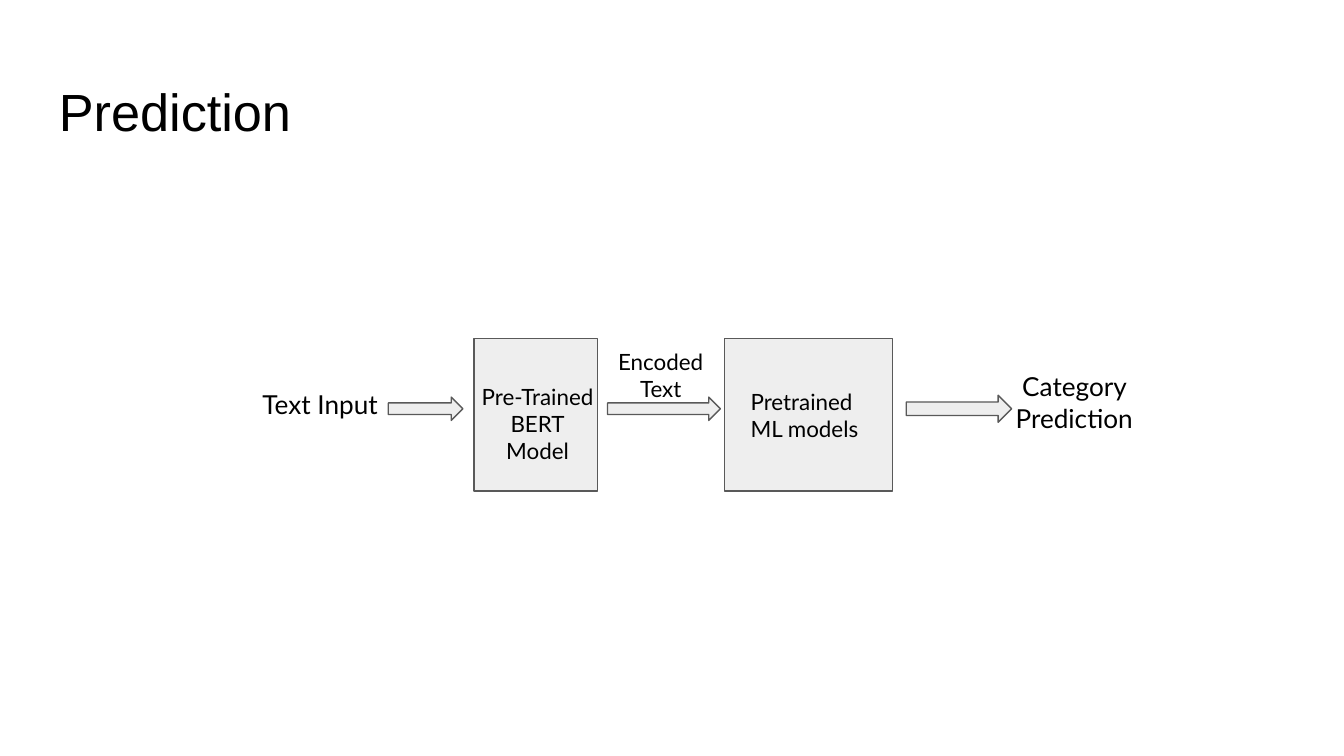
from pptx import Presentation
from pptx.dml.color import RGBColor
from pptx.enum.shapes import MSO_SHAPE
from pptx.enum.text import MSO_ANCHOR, PP_ALIGN
from pptx.util import Pt

RECTANGLE, ARROW = MSO_SHAPE.RECTANGLE, MSO_SHAPE.RIGHT_ARROW
LEFT, CENTER = PP_ALIGN.LEFT, PP_ALIGN.CENTER

SLIDE_SIZE = (720, 405)
INSET = 7.2
FILL, LINE, TEXT = "EEEEEE", "595959", "000000"

BOX_TOP, BOX_HEIGHT = 181.5, 81.5
FLOW_MIDLINE = 219

# left, width
MODEL_BOXES = [(254, 66), (388, 90)]
# left, width, height
ARROWS = [(208, 40, 12.5), (325.5, 60.5, 12.5), (485.5, 56.5, 14.5)]
# text, left, top, width, height, size, font, alignment
LABELS = [
    ("Prediction", 24.5, 35, 671, 45, 28, "Arial", LEFT),
    ("Text Input", 126.5, 201, 90, 42.5, 14, "Lato", CENTER),
    ("Pre-Trained BERT\vModel", 248.5, 198, 79, 62.5, 12, "Lato", CENTER),
    ("Encoded Text", 321, 179.5, 66, 55.5, 12, "Lato", CENTER),
    ("Pretrained ML models", 395, 201, 73.5, 47, 12, "Lato", LEFT),
    ("Category Prediction", 530.5, 191.5, 90, 14.5, 14, "Lato", CENTER),
]


def color(hex_string):
    return RGBColor.from_string(hex_string)


def add_outlined(slide, kind, left, top, width, height):
    shape = slide.shapes.add_shape(kind, Pt(left), Pt(top), Pt(width), Pt(height))
    shape.shadow.inherit = False
    shape.fill.solid()
    shape.fill.fore_color.rgb = color(FILL)
    shape.line.color.rgb = color(LINE)
    shape.line.width = Pt(0.75)


def add_label(slide, text, left, top, width, height, size, font, alignment):
    frame = slide.shapes.add_textbox(Pt(left), Pt(top), Pt(width), Pt(height)).text_frame
    frame.word_wrap = True
    frame.vertical_anchor = MSO_ANCHOR.TOP
    frame.margin_left = frame.margin_right = Pt(INSET)
    frame.margin_top = frame.margin_bottom = Pt(INSET)
    paragraph = frame.paragraphs[0]
    paragraph.text = text
    paragraph.alignment = alignment
    paragraph.font.size = Pt(size)
    paragraph.font.name = font
    paragraph.font.color.rgb = color(TEXT)


presentation = Presentation()
presentation.slide_width, presentation.slide_height = map(Pt, SLIDE_SIZE)
slide = presentation.slides.add_slide(presentation.slide_layouts[6])

for left, width in MODEL_BOXES:
    add_outlined(slide, RECTANGLE, left, BOX_TOP, width, BOX_HEIGHT)
for left, width, height in ARROWS:
    add_outlined(slide, ARROW, left, FLOW_MIDLINE - height / 2, width, height)
for label in LABELS:
    add_label(slide, *label)

presentation.save("out.pptx")
